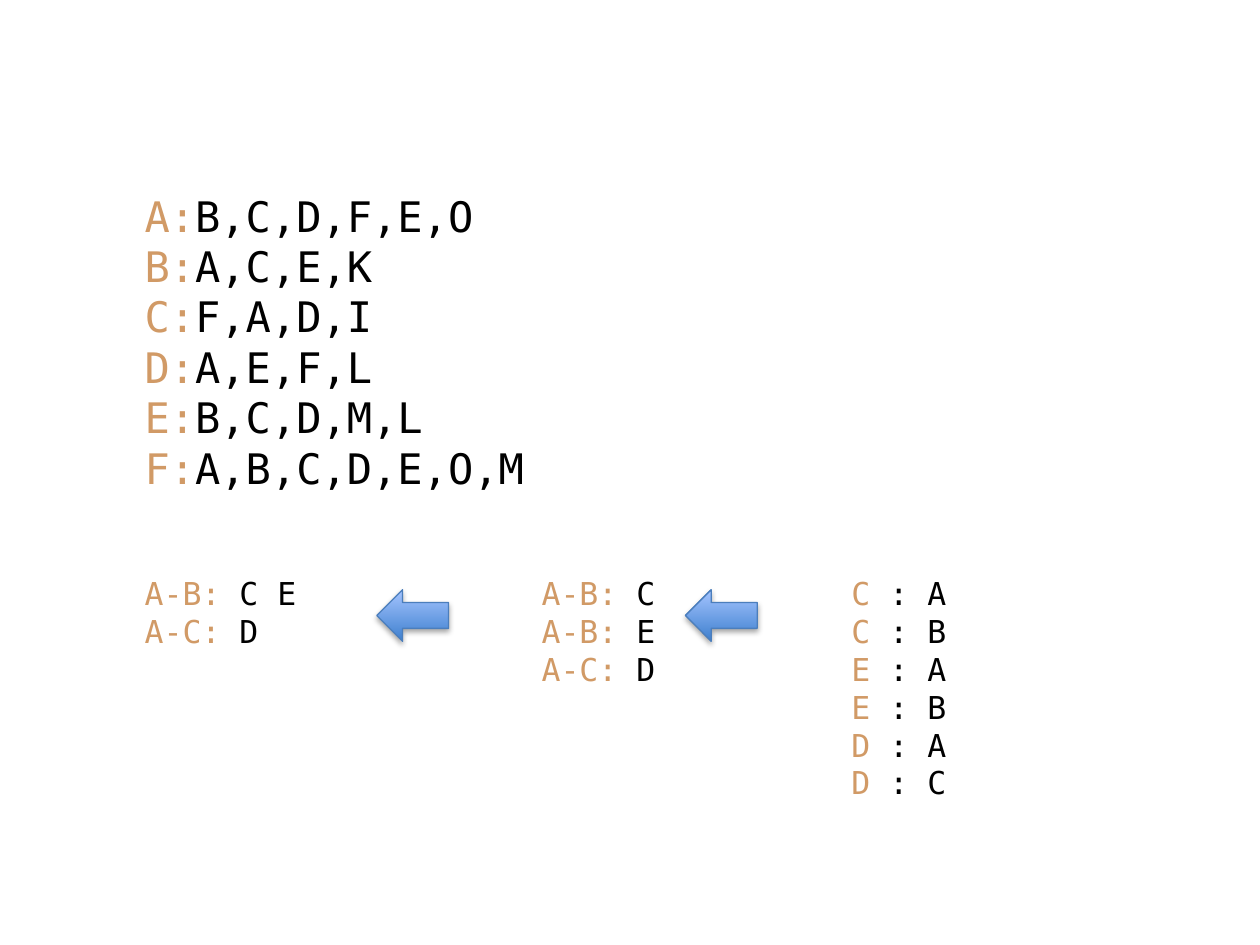
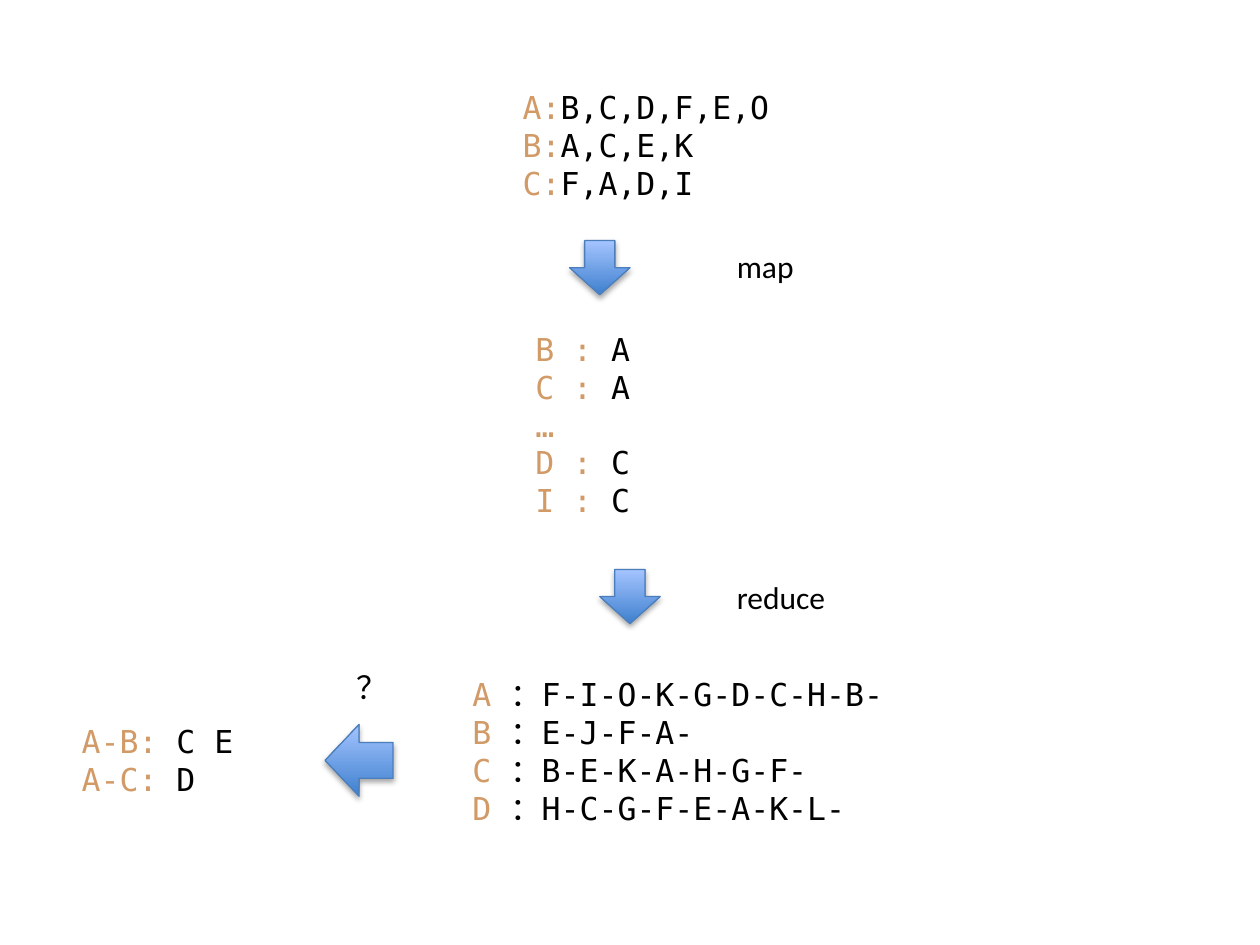
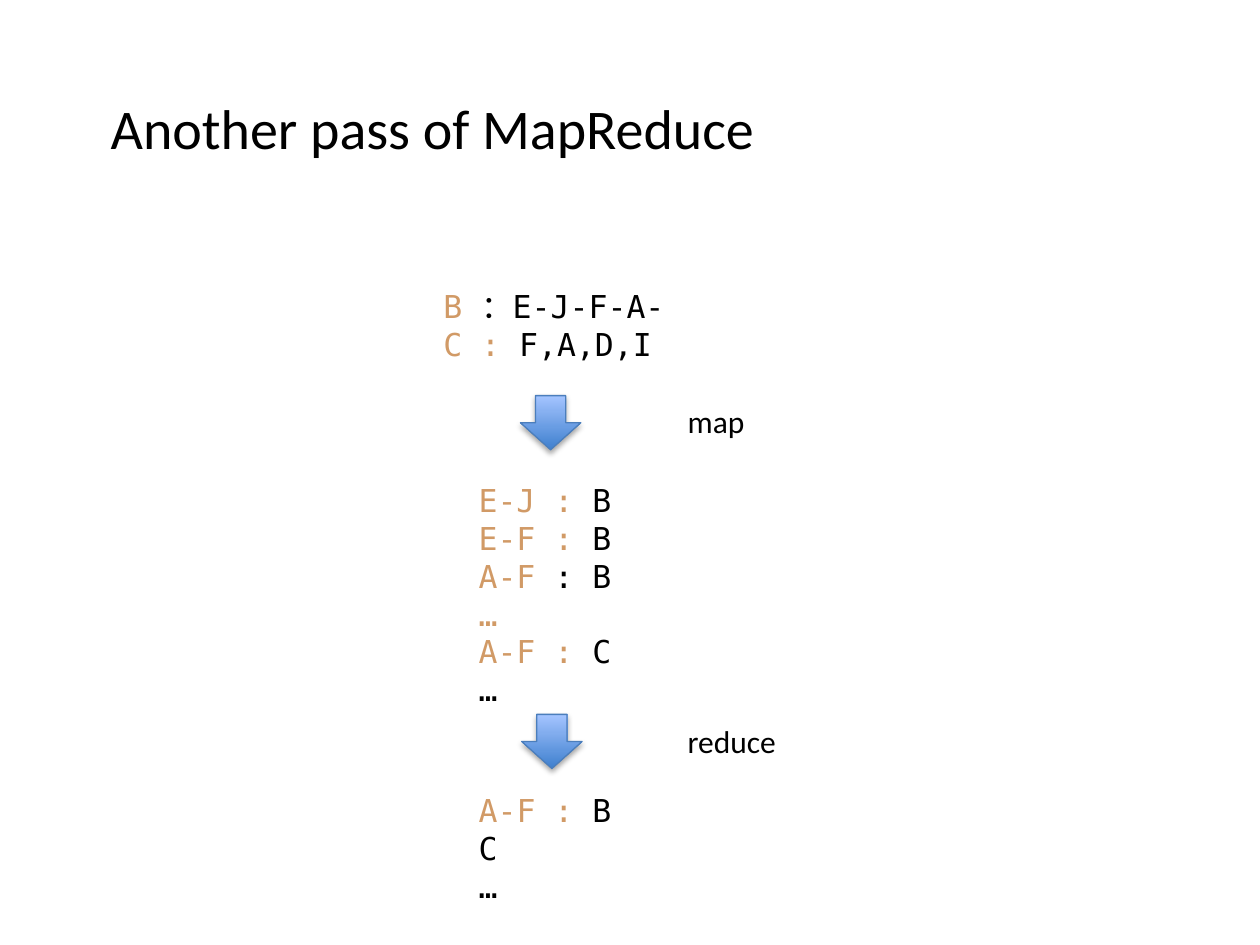
from dataclasses import dataclass

import pptx
import pptx.dml.color
import pptx.enum.shapes
import pptx.enum.text
import pptx.oxml
import pptx.oxml.ns
import pptx.slide
import pptx.util

# Shared look: 100 px to the inch
PX = 9144
TAN = pptx.dml.color.RGBColor(0xD1, 0x9A, 0x66)
BLACK = pptx.dml.color.RGBColor(0x00, 0x00, 0x00)
ARROW_DARK = pptx.dml.color.RGBColor(0x3F, 0x80, 0xCE)
ARROW_LIGHT = pptx.dml.color.RGBColor(0xA4, 0xC4, 0xFF)
ARROW_LINE = pptx.dml.color.RGBColor(0x4B, 0x7E, 0xBC)
MONO = "DejaVu Sans Mono"
SANS = "Calibri"

LEFT = pptx.enum.shapes.MSO_SHAPE.LEFT_ARROW
DOWN = pptx.enum.shapes.MSO_SHAPE.DOWN_ARROW

SHADOW = (
    f'<a:outerShdw {pptx.oxml.ns.nsdecls("a")} blurRad="40000" dist="23000" '
    'dir="5400000" rotWithShape="0"><a:srgbClr val="000000">'
    '<a:alpha val="35000"/></a:srgbClr></a:outerShdw>'
)


@dataclass
class Listing:
    """Lines of (key, value, key, value, ...): keys are tan, values black."""
    x: int
    y: int
    w: int
    h: int
    lines: list[tuple[str, ...]]
    size: int = 18


@dataclass
class Label:
    x: int
    y: int
    w: int
    h: int
    text: str
    wrap: bool = True


@dataclass
class Arrow:
    x: int
    y: int
    w: int
    h: int
    kind: pptx.enum.shapes.MSO_SHAPE


Item = Listing | Label | Arrow


def box(item: Item) -> list[int]:
    return [v * PX for v in (item.x, item.y, item.w, item.h)]


def add_text(s: pptx.slide.Slide, item: Listing | Label, wrap: bool = True):
    tf = s.shapes.add_textbox(*box(item)).text_frame
    tf.word_wrap = wrap
    tf.auto_size = pptx.enum.text.MSO_AUTO_SIZE.SHAPE_TO_FIT_TEXT
    return tf


def set_font(p, name: str, size: int) -> None:
    p.font.name = name
    p.font.size = pptx.util.Pt(size)


def add_listing(s: pptx.slide.Slide, listing: Listing) -> None:
    tf = add_text(s, listing)
    for i, line in enumerate(listing.lines):
        p = tf.add_paragraph() if i else tf.paragraphs[0]
        set_font(p, MONO, listing.size)
        for j, part in enumerate(line):
            if part:
                r = p.add_run()
                r.text = part
                r.font.color.rgb = BLACK if j % 2 else TAN


def add_label(s: pptx.slide.Slide, label: Label, size: int = 18):
    tf = add_text(s, label, label.wrap)
    p = tf.paragraphs[0]
    p.text = label.text
    set_font(p, SANS, size)
    p.font.color.rgb = BLACK
    return tf


def add_title(s: pptx.slide.Slide, text: str) -> None:
    tf = add_label(s, Label(78, 71, 875, 66, text), 32)
    tf.auto_size = pptx.enum.text.MSO_AUTO_SIZE.NONE
    tf.vertical_anchor = pptx.enum.text.MSO_ANCHOR.MIDDLE
    tf.paragraphs[0].line_spacing = 0.9


def add_arrow(s: pptx.slide.Slide, arrow: Arrow) -> None:
    sp = s.shapes.add_shape(arrow.kind, *box(arrow))
    sp.fill.gradient()
    sp.fill.gradient_angle = 90
    for stop, position, color in zip(sp.fill.gradient_stops, (0, 1), (ARROW_DARK, ARROW_LIGHT)):
        stop.position = position
        stop.color.rgb = color
    sp.line.color.rgb = ARROW_LINE
    sp.line.width = pptx.util.Pt(0.75)
    sp.shadow.inherit = False
    effects = sp._element.spPr.find(pptx.oxml.ns.qn("a:effectLst"))
    effects.append(pptx.oxml.parse_xml(SHADOW))


def draw(s: pptx.slide.Slide, items: list[Item]) -> None:
    for item in items:
        if isinstance(item, Listing):
            add_listing(s, item)
        elif isinstance(item, Label):
            add_label(s, item)
        else:
            add_arrow(s, item)


# Text shown on several slides
FRIENDS = [("A:", "B,C,D,F,E,O"), ("B:", "A,C,E,K"), ("C:", "F,A,D,I")]
COMMON = [("A-B: ", "C E"), ("A-C: ", "D")]

# Friend lists and the wanted result, worked backwards
GOAL: list[Item] = [
    Listing(105, 146, 500, 252, FRIENDS + [
        ("D:", "A,E,F,L"),
        ("E:", "B,C,D,M,L ", "F:", "A,B,C,D,E,O,M"),
    ], size=24),
    Listing(105, 451, 160, 71, COMMON),
    Arrow(299, 468, 57, 41, LEFT),
    Listing(420, 451, 160, 101, [("A-B: ", "C"), ("A-B: ", "E"), ("A-C: ", "D")]),
    Arrow(544, 468, 57, 41, LEFT),
    Listing(666, 451, 160, 192, [(f"{k} ", f": {v}") for k, v in ("CA", "CB", "EA", "EB", "DA", "DC")]),
]

# First pass
FIRST_PASS: list[Item] = [
    Listing(405, 65, 500, 101, FRIENDS),
    Arrow(452, 191, 48, 43, DOWN),
    Label(575, 191, 80, 40, "map"),
    Listing(415, 257, 170, 162, [("B : ", "A"), ("C : ", "A"), ("…",), ("D : ", "C"), ("I : ", "C")]),
    Arrow(476, 452, 48, 43, DOWN),
    Label(575, 454, 93, 40, "reduce"),
    Listing(365, 531, 500, 131, [
        ("A ", "：F-I-O-K-G-D-C-H-B-"),
        ("B ", "：E-J-F-A-"),
        ("C ", "：B-E-K-A-H-G-F-"),
        ("D ", "：H-C-G-F-E-A-K-L-"),
    ]),
    Listing(55, 568, 160, 71, COMMON),
    Arrow(258, 575, 54, 57, LEFT),
    Label(273, 525, 45, 40, "？", wrap=False),
]

# Second pass
SECOND_PASS: list[Item] = [
    Listing(342, 223, 500, 101, [("B ", "：E-J-F-A-"), ("C : ", "F,A,D,I")]),
    Arrow(413, 314, 48, 43, DOWN),
    Label(536, 314, 80, 40, "map"),
    Listing(370, 377, 170, 192, [
        ("E-J : ", "B"), ("E-F : ", "B"), ("A-F ", ": B"), ("…",), ("A-F : ", "C"), ("", "…"),
    ]),
    Arrow(414, 567, 48, 43, DOWN),
    Listing(370, 623, 145, 71, [("A-F : ", "B C"), ("", "…")]),
    Label(536, 568, 96, 40, "reduce"),
]


def main() -> None:
    prs = pptx.Presentation()
    prs.slide_width, prs.slide_height = 1000 * PX, 750 * PX
    for items in (GOAL, FIRST_PASS, SECOND_PASS):
        s = prs.slides.add_slide(prs.slide_layouts[6])
        draw(s, items)
    add_title(s, "Another pass of MapReduce")
    prs.save("out.pptx")


if __name__ == "__main__":
    main()
